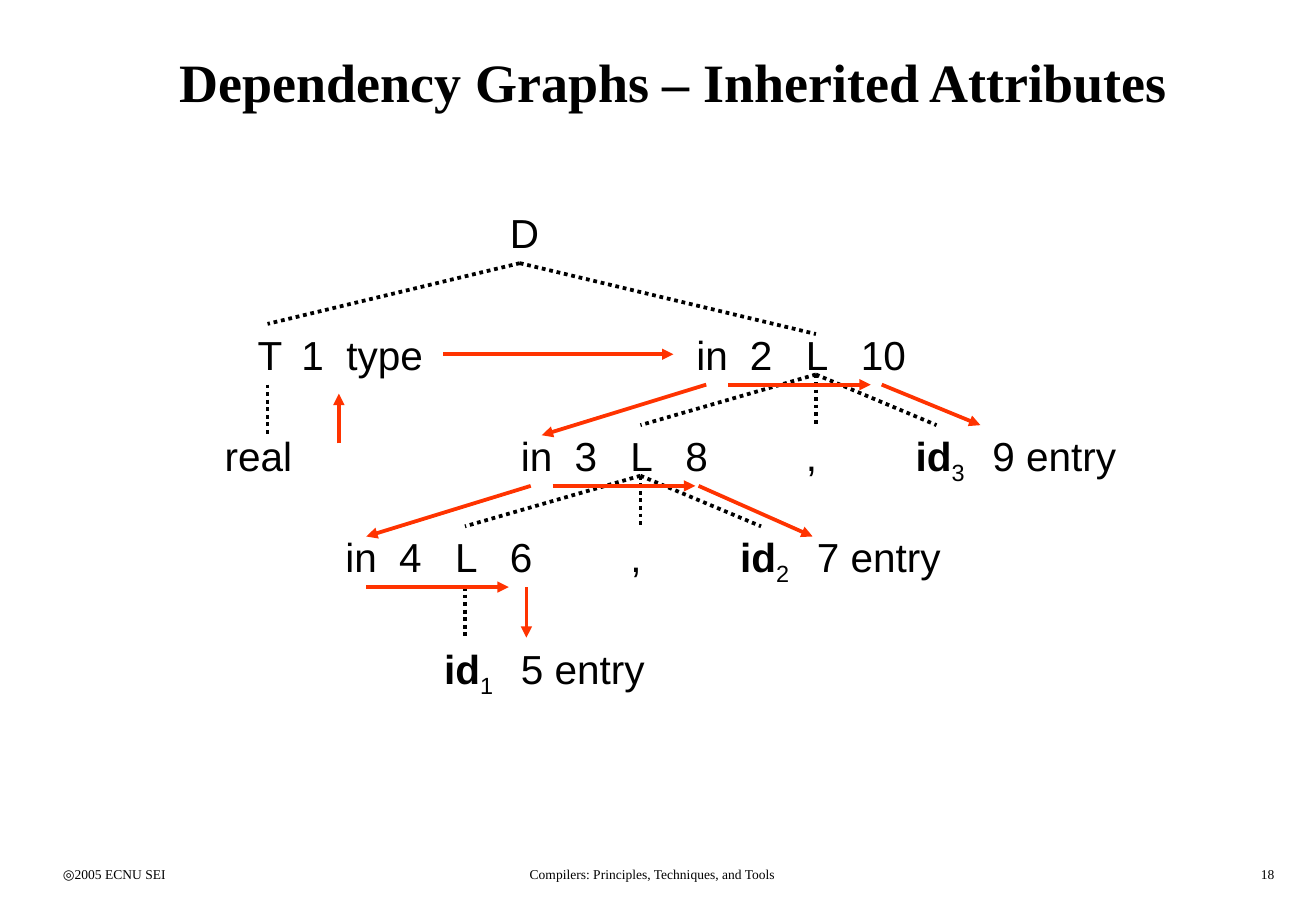
import dataclasses
import pptx
import pptx.dml.color
import pptx.enum.dml
import pptx.enum.shapes
import pptx.enum.text
import pptx.oxml.ns
import pptx.util
import lxml.etree

ALIGN = pptx.enum.text.PP_ALIGN
MID = pptx.enum.text.MSO_ANCHOR.MIDDLE


@dataclasses.dataclass(frozen=True)
class Theme:
    ink: str = "000000"
    flow: str = "FF3300"
    sans: str = "Arial"
    serif: str = "Times New Roman"
    head: float = 32
    node: float = 24
    foot: float = 8
    rule: float = 2.25
    wide: float = 10.83
    high: float = 7.5
    cols: int = 120
    rows: int = 90


def add(parent, tag, **attrs):
    return lxml.etree.SubElement(parent, pptx.oxml.ns.qn(tag), **attrs)


class Page:
    """Draw text and lines on one slide, measured in grid columns and rows."""

    def __init__(self, deck, theme):
        self.theme = theme
        deck.slide_width = pptx.util.Inches(theme.wide)
        deck.slide_height = pptx.util.Inches(theme.high)
        self.slide = deck.slides.add_slide(deck.slide_layouts[6])

    def col(self, n):
        return pptx.util.Inches(n * self.theme.wide / self.theme.cols)

    def row(self, n):
        return pptx.util.Inches(n * self.theme.high / self.theme.rows)

    def text(self, words, x, y, w, h=6, *, size=None, font=None, bold=False,
             align=ALIGN.LEFT, anchor=None, sub="", tab=None):
        box = self.slide.shapes.add_textbox(
            self.col(x), self.row(y), self.col(w), self.row(h))
        frame = box.text_frame
        frame.word_wrap = True
        if anchor is not None:
            frame.vertical_anchor = anchor
        para = frame.paragraphs[0]
        para.alignment = align
        if tab:
            stops = add(para._p.get_or_add_pPr(), "a:tabLst")
            add(stops, "a:tab", pos=str(self.col(tab)), algn="l")
        for part in filter(None, (words, sub)):
            run = para.add_run()
            run.text = part
            run.font.size = pptx.util.Pt(size or self.theme.node)
            run.font.name = font or self.theme.sans
            run.font.bold = bold and part == words
            run.font.color.rgb = pptx.dml.color.RGBColor.from_string(self.theme.ink)
            if part == sub:
                run._r.get_or_add_rPr().set("baseline", "-25000")

    def line(self, x1, y1, x2, y2, color):
        link = self.slide.shapes.add_connector(
            pptx.enum.shapes.MSO_CONNECTOR.STRAIGHT,
            self.col(x1), self.row(y1), self.col(x2), self.row(y2))
        link.line.width = pptx.util.Pt(self.theme.rule)
        link.line.color.rgb = pptx.dml.color.RGBColor.from_string(color)
        add(link._element.spPr, "a:effectLst")
        return link

    def edge(self, x1, y1, x2, y2):
        link = self.line(x1, y1, x2, y2, self.theme.ink)
        link.line.dash_style = pptx.enum.dml.MSO_LINE.ROUND_DOT

    def arrow(self, x1, y1, x2, y2):
        link = self.line(x1, y1, x2, y2, self.theme.flow)
        add(link.line._get_or_add_ln(), "a:tailEnd", type="triangle")

    def list_node(self, x, y, rank, count):
        self.text(f"in\t{rank}", x - 12, y, 9.4, tab=4.9)
        self.text("L", x - 2, y, 4.4)
        self.text(count, x + 3, y, 2.2 + 2.1 * len(count))

    def leaf(self, x, y, sub, entry):
        self.text("id", x, y, 7, bold=True, sub=sub)
        self.text(f"{entry} entry", x + 7, y, 13.6)

    def branch(self, x, y, sub, entry, start, end, drop):
        for shift in (-16, 0, 11):
            self.edge(x, y + 5, x + shift, y + 10)
        self.text(",", x - 2, y + 10, 4.4)
        self.leaf(x + 8, y + 10, sub, entry)
        self.arrow(x - 10, y + 6, x - 25, y + 11)
        self.arrow(x - 8, y + 6, x + 5, y + 6)
        self.arrow(x + start, y + 6, x + end, y + drop)


def main():
    deck = pptx.Presentation()
    theme = Theme()
    page = Page(deck, theme)

    page.text("Dependency Graphs – Inherited Attributes", 4.65, 2, 113.6, 12,
              size=theme.head, font=theme.serif, bold=True,
              align=ALIGN.CENTER, anchor=MID)
    for words, x, w, align in (
            ("◎2005 ECNU SEI", 4.65, 25, ALIGN.LEFT),
            ("Compilers: Principles, Techniques, and Tools", 37, 45, ALIGN.CENTER),
            ("18", 92.3, 25, ALIGN.RIGHT)):
        page.text(words, x, 85, w, 3, size=theme.foot, font=theme.serif, align=align)

    page.text("D", 45.4, 20, 5)
    page.edge(47.4, 26, 24.4, 32)
    page.edge(47.4, 26, 74.4, 33)

    page.text("T", 22.4, 32, 4.6)
    page.text("1\ttype", 26.4, 32, 13.5, tab=4.1)
    page.text("real", 19.4, 42, 8.5)
    page.edge(24.4, 38, 24.4, 43)
    page.arrow(30.9, 43.8, 30.9, 38.9)
    page.arrow(40.4, 35, 61.4, 35)

    tops = [(74.4 - 16 * i, 32 + 10 * i) for i in range(3)]
    for (x, y), rank, count in zip(tops, "234", ("10", "8", "6")):
        page.list_node(x, y, rank, count)
    page.branch(*tops[0], "3", "9", 6, 15, 10)
    page.branch(*tops[1], "2", "7", 5.3, 15.7, 11)

    x, y = tops[2]
    page.edge(x, y + 6, x, y + 11)
    page.leaf(x - 3, y + 11, "1", "5")
    page.arrow(x - 9, y + 6, x + 4, y + 6)
    page.arrow(x + 5.6, y + 6, x + 5.6, y + 11)

    deck.save("out.pptx")


if __name__ == "__main__":
    main()
